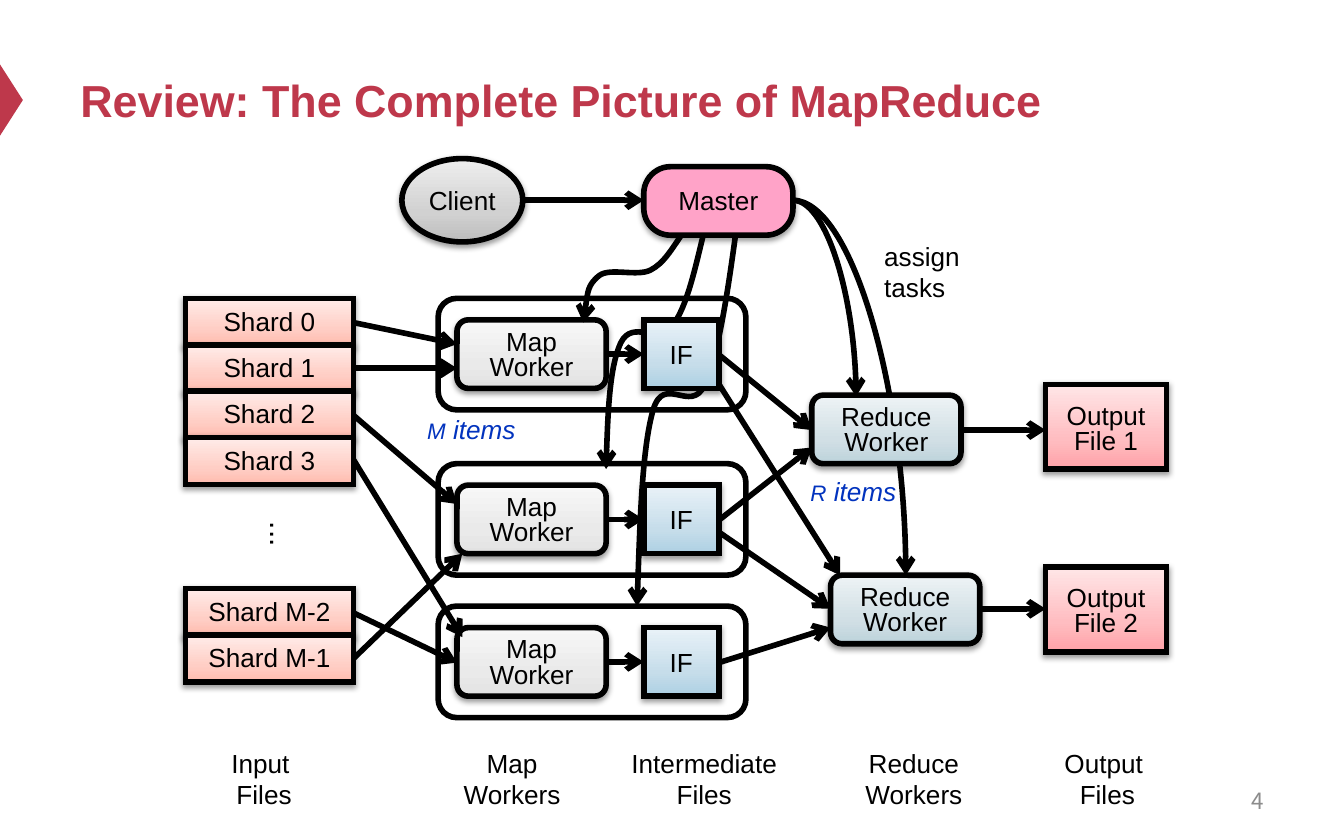
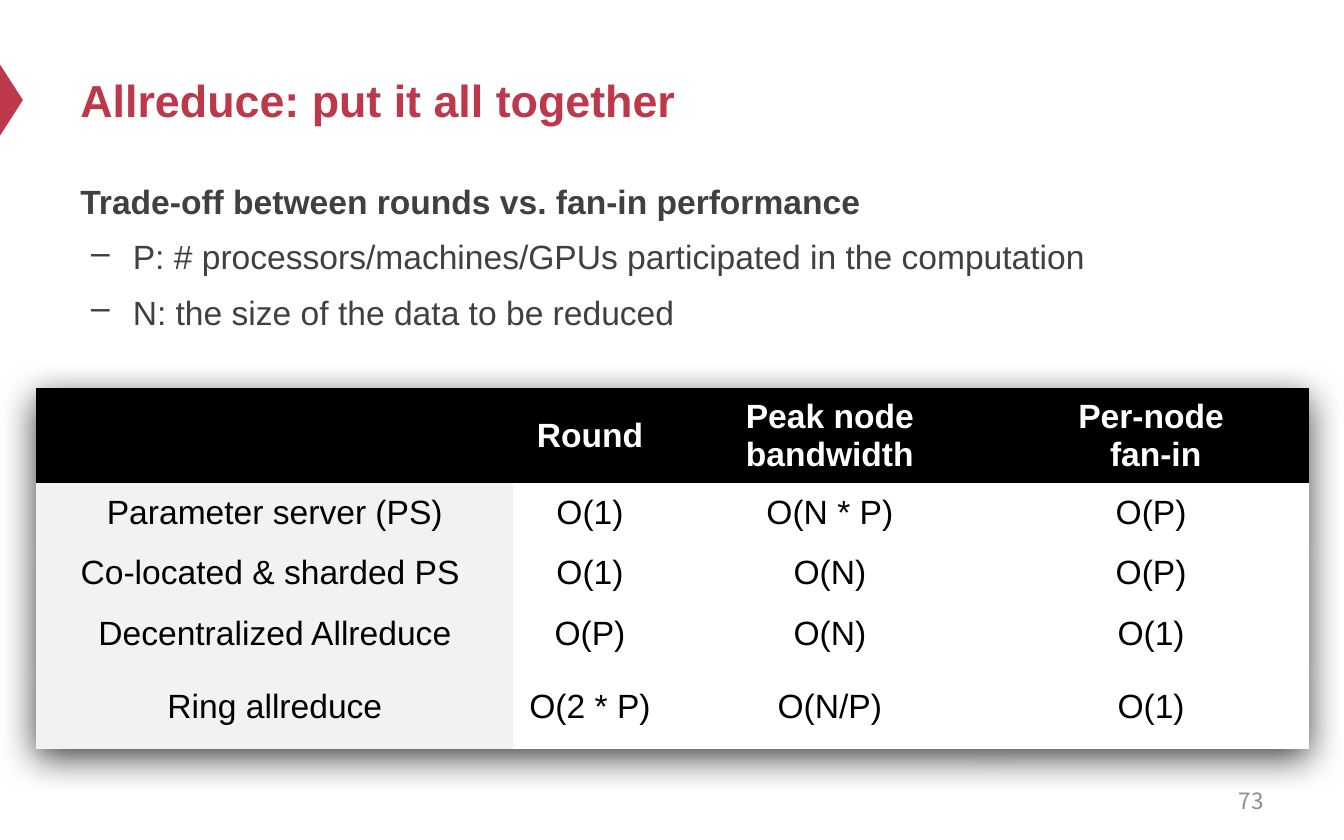
import copy

import pptx
import pptx.dml.color
import pptx.enum.shapes
import pptx.enum.text
import pptx.oxml
import pptx.oxml.ns
import pptx.util
from lxml import etree

Inches = pptx.util.Inches
Pt = pptx.util.Pt
qn = pptx.oxml.ns.qn
SHAPE = pptx.enum.shapes.MSO_SHAPE
CONNECTOR = pptx.enum.shapes.MSO_CONNECTOR
ALIGN = pptx.enum.text.PP_ALIGN
ANCHOR = pptx.enum.text.MSO_ANCHOR

COLORS = {
    "accent": "BE384B", "ink": "000000", "body": "404040", "number": "8C8C8C",
    "note": "0233BE", "white": "FFFFFF", "row head": "F2F2F2", "master": "FFA3C8",
}
# Gradients run from bottom to top.
GRADIENTS = {
    "shard": ("FFBBAE", "FFCEC5", "FFECE9"),
    "map": ("E2E2E2", "EAEAEA", "F7F7F7"),
    "file": ("ADD0E3", "C6DDEA", "E9F2F8"),
    "reduce": ("BDD3DB", "D1DFE5", "EDF3F5"),
    "output": ("FFA2A8", "FFBDC1", "FFE6E7"),
    "client": ("BDBDBD", "D1D1D1", "EEEEEE"),
}
STOPS = (0, 0.35, 1)
FONT = "Arial"
NUMBER_FONT = "Noto Sans CJK SC"
NO_TABLE_STYLE = "{2D5ABB26-0587-4C30-8999-92F81FD0307C}"

NODE_W, NODE_H = 1.11, 0.51
SHARD_LEFT, SHARD_W, SHARD_H = 1.38, 1.25, 0.35
MAP_LEFT, FILE_LEFT, FILE_W = 3.4, 4.79, 0.56
OUTPUT_LEFT, OUTPUT_W, OUTPUT_H = 7.78, 0.9, 0.63
MAP_TOPS = (2.38, 3.61, 4.67)


def rgb(name):
    return pptx.dml.color.RGBColor.from_string(COLORS.get(name, name))


def place(*lengths):
    return [Inches(length) for length in lengths]


def style_font(font, size, color="ink", bold=False, italic=False, name=FONT):
    font.name, font.size = name, Pt(size)
    font.bold, font.italic = bold, italic
    font.color.rgb = rgb(color)


def write(frame, text, size, color="ink", align=ALIGN.CENTER, spacing=None,
          bold=False, name=FONT):
    """Newlines start paragraphs; vertical tabs break lines."""
    frame.text = text
    for para in frame.paragraphs:
        para.alignment = align
        if spacing:
            para.line_spacing = spacing
        style_font(para.font, size, color, bold, name=name)


def set_insets(frame, insets):
    (frame.margin_left, frame.margin_top,
     frame.margin_right, frame.margin_bottom) = place(*insets)


def add_text(page, box, text, size=14, wrap=True, anchor=ANCHOR.TOP, **style):
    text_box = page.shapes.add_textbox(*place(*box))
    frame = text_box.text_frame
    frame.word_wrap = wrap
    frame.vertical_anchor = anchor
    write(frame, text, size, **style)
    return text_box


def add_note(page, box, letter, align):
    note = add_text(page, box, "", align=align)
    para = note.text_frame.paragraphs[0]
    for text, size in ((letter, 12), (" items", 14)):
        span = para.add_run()
        span.text = text
        style_font(span.font, size, "note", italic=True)


def add_shadow(effects, blur, distance, opacity):
    shadow = etree.SubElement(
        effects, qn("a:outerShdw"), blurRad=str(Pt(blur)), dist=str(Pt(distance)),
        dir="5400000", algn="ctr", rotWithShape="0")
    color = etree.SubElement(shadow, qn("a:srgbClr"), val=COLORS["ink"])
    etree.SubElement(color, qn("a:alpha"), val=str(opacity * 1000))


def stroke(shape, arrow=False):
    shape.line.color.rgb = rgb("ink")
    shape.line.width = Pt(3)
    line = shape.element.spPr.find(qn("a:ln"))
    etree.SubElement(line, qn("a:miter"), lim="800000")
    if arrow:
        etree.SubElement(line, qn("a:tailEnd"), type="arrow")


def fill_gradient(shape, colors):
    shape.fill.gradient()
    shape.fill.gradient_angle = 90
    stop_list = shape.element.spPr.find(".//" + qn("a:gsLst"))
    stop_list.insert(1, copy.deepcopy(stop_list[0]))
    for stop, position, color in zip(shape.fill.gradient_stops, STOPS, colors):
        stop.position = position
        stop.color.rgb = rgb(color)


def add_node(page, kind, box, text, fill, insets=(0.08, 0.03, 0.08, 0.04),
             spacing=None):
    node = page.shapes.add_shape(kind, *place(*box))
    if fill in GRADIENTS:
        fill_gradient(node, GRADIENTS[fill])
    else:
        node.fill.solid()
        node.fill.fore_color.rgb = rgb(fill)
    stroke(node)
    node.shadow.inherit = False
    add_shadow(node.element.spPr.find(qn("a:effectLst")), 3.1, 1.6, 38)
    frame = node.text_frame
    frame.word_wrap = False
    frame.vertical_anchor = ANCHOR.MIDDLE
    set_insets(frame, insets)
    write(frame, text, 14, spacing=spacing)
    return node


def add_worker(page, left, top, text, fill):
    add_node(page, SHAPE.ROUNDED_RECTANGLE, (left, top, NODE_W, NODE_H), text, fill,
             (0.08, 0.03, 0.08, 0), 0.8)


def add_arrow(page, start, end, bent=False):
    """A bent arrow leaves sideways and arrives from above."""
    kind = CONNECTOR.CURVE if bent else CONNECTOR.STRAIGHT
    arrow = page.shapes.add_connector(kind, *place(*start, *end))
    properties = arrow.element.spPr
    if bent:
        properties.find(qn("a:prstGeom")).set("prst", "curvedConnector2")
    stroke(arrow, arrow=True)
    etree.SubElement(properties, qn("a:effectLst"))


def add_curve(page, start, *controls):
    """Draw Bezier segments, each given by three points after the start."""
    builder = page.shapes.build_freeform(*place(*start))
    builder.add_line_segments([place(*point) for point in controls], close=False)
    curve = builder.convert_to_shape()
    outline = curve.element.spPr.find(".//" + qn("a:path"))
    lines = outline.findall(qn("a:lnTo"))
    for first in range(0, len(lines), 3):
        segment = etree.SubElement(outline, qn("a:cubicBezTo"))
        for line in lines[first:first + 3]:
            segment.append(line[0])
            outline.remove(line)
    curve.fill.background()
    stroke(curve, arrow=True)
    curve.shadow.inherit = False


def add_page(deck, title, number):
    page = deck.slides.add_slide(deck.slide_layouts[6])
    marker = page.shapes.add_shape(SHAPE.ISOSCELES_TRIANGLE,
                                   *place(-0.18, 0.66, 0.53, 0.17))
    marker.rotation = 90
    marker.fill.solid()
    marker.fill.fore_color.rgb = rgb("accent")
    marker.line.fill.background()
    marker.shadow.inherit = False
    add_text(page, (0.5, 0.25, 9, 0.98), title, 24, anchor=ANCHOR.MIDDLE,
             color="accent", align=ALIGN.LEFT, bold=True)
    add_text(page, (7.17, 5.79, 2.33, 0.33), number, 12, anchor=ANCHOR.MIDDLE,
             color="number", align=ALIGN.RIGHT, name=NUMBER_FONT)
    return page


def add_shards(page):
    for first_top, names in ((2.22, ("0", "1", "2", "3")), (4.38, ("M-2", "M-1"))):
        for index, name in enumerate(names):
            box = (SHARD_LEFT, first_top + 0.345 * index, SHARD_W, SHARD_H)
            add_node(page, SHAPE.RECTANGLE, box, f"Shard {name}", "shard",
                     (0.1, 0.03, 0.1, 0.05))


def add_map_row(page, top):
    middle = top + NODE_H / 2
    add_node(page, SHAPE.RECTANGLE, (FILE_LEFT, top, FILE_W, NODE_H), "IF", "file",
             (0.1, 0.05, 0.1, 0.05))
    add_arrow(page, (MAP_LEFT + NODE_W, middle), (FILE_LEFT, middle))
    add_worker(page, MAP_LEFT, top, "Map\vWorker", "map")
    border = page.shapes.add_shape(SHAPE.ROUNDED_RECTANGLE,
                                   *place(3.26, top - 0.16, 2.29, 0.83))
    border.fill.background()
    stroke(border)
    border.shadow.inherit = False


def build_mapreduce(deck):
    page = add_page(deck, "Review: The Complete Picture of MapReduce", "4")
    master_exit = (5.9, 1.49)
    add_arrow(page, master_exit, (6.74, 4.28), bent=True)
    add_curve(page, (5.47, 1.77), (5.41, 2.21), (5.34, 2.66), (5.24, 2.87),
              (5.14, 3.08), (4.94, 2.78), (4.86, 3.05),
              (4.78, 3.33), (4.76, 3.92), (4.74, 4.51))
    add_curve(page, (5.24, 1.72), (5.17, 2.01), (5.11, 2.29), (5, 2.43),
              (4.9, 2.57), (4.71, 2.37), (4.62, 2.55),
              (4.54, 2.72), (4.52, 3.11), (4.51, 3.49))
    add_shards(page)
    for top in MAP_TOPS:
        add_map_row(page, top)
    for left, top in ((6.04, 2.94), (6.18, 4.28)):
        add_worker(page, left, top, "Reduce\vWorker", "reduce")
    for number, top in enumerate((2.86, 4.22), 1):
        add_node(page, SHAPE.RECTANGLE, (OUTPUT_LEFT, top, OUTPUT_W, OUTPUT_H),
                 f"Output\nFile {number}", "output", (0.1, 0.05, 0.1, 0), 0.8)
    add_node(page, SHAPE.OVAL, (2.99, 1.18, 0.9, 0.62), "Client", "client")
    master = add_node(page, SHAPE.ROUNDED_RECTANGLE, (4.79, 1.24, NODE_W, NODE_H),
                      "Master", "master")
    master.adjustments[0] = 0.39

    add_arrow(page, master_exit, (6.37, 2.95), bent=True)
    add_curve(page, (5.07, 1.75), (5, 1.85), (4.94, 1.96), (4.84, 2.01),
              (4.74, 2.06), (4.54, 1.99), (4.46, 2.05),
              (4.37, 2.12), (4.36, 2.26), (4.34, 2.4))
    shard_right, file_right = SHARD_LEFT + SHARD_W, FILE_LEFT + FILE_W
    for exit_y, end in ((2.4, (3.4, 2.56)), (2.74, (3.4, 2.74)), (3.09, (3.4, 3.75)),
                        (4.9, (3.44, 4.12)), (4.56, (3.4, 4.93)),
                        (3.42, (3.44, 4.74))):
        add_arrow(page, (shard_right, exit_y), end)
    for exit_y, end in ((2.64, (6.04, 3.2)), (2.86, (6.25, 4.28)),
                        (3.87, (6.04, 3.33)), (3.96, (6.18, 4.53)),
                        (4.93, (6.18, 4.67))):
        add_arrow(page, (file_right, exit_y), end)
    add_arrow(page, (3.89, 1.49), (4.79, 1.49))
    for left, middle in ((7.15, 3.2), (7.29, 4.53)):
        add_arrow(page, (left, middle), (OUTPUT_LEFT, middle))

    for left, width, text, wrap in ((1.62, 0.69, "Input \vFiles", False),
                                    (3.19, 1.24, "Map Workers", True),
                                    (4.38, 1.72, "Intermediate Files", True),
                                    (6.18, 1.24, "Reduce Workers", True),
                                    (7.82, 0.84, "Output \vFiles", False)):
        add_text(page, (left, 5.51, width, 0.57), text, wrap=wrap)
    add_note(page, (3.08, 3.03, 1.24, 0.34), "M", ALIGN.LEFT)
    add_note(page, (5.78, 3.49, 1.14, 0.34), "R", ALIGN.CENTER)
    add_text(page, (6.48, 1.74, 0.82, 0.57), "assign \vtasks", wrap=False,
             align=ALIGN.LEFT)
    dots = add_text(page, (1.9, 3.79, 0.39, 0.37), "...", 16, wrap=False)
    dots.rotation = 90


def add_bullets(page, heading, items):
    body = add_text(page, (0.5, 1.24, 9, 1.4), heading, 18, color="body",
                    align=ALIGN.LEFT, spacing=1.2, bold=True)
    for item in items:
        para = body.text_frame.add_paragraph()
        para.text = item
        para.level = 1
        para.line_spacing = 1.2
        para.space_before = Pt(3.6)
        properties = para._p.get_or_add_pPr()
        properties.set("marL", str(Inches(0.39)))
        properties.set("indent", str(Inches(-0.31)))
        etree.SubElement(properties, qn("a:buChar"), char="–")
        style_font(para.font, 18, "body")


def add_cost_table(page, rows, widths, heights):
    holder = page.shapes.add_table(len(rows), len(widths),
                                   *place(0.27, 2.89, sum(widths), sum(heights)))
    table = holder.table
    table.first_row = table.horz_banding = False
    properties = table._tbl.tblPr
    properties.find(qn("a:tableStyleId")).text = NO_TABLE_STYLE
    effects = etree.Element(qn("a:effectLst"))
    properties.insert(0, effects)
    add_shadow(effects, 20, 5, 75)
    for column, width in zip(table.columns, widths):
        column.width = Inches(width)
    for row, height in zip(table.rows, heights):
        row.height = Inches(height)
    for row_index, row in enumerate(rows):
        header = row_index == 0
        for column_index, text in enumerate(row):
            cell = table.cell(row_index, column_index)
            cell.vertical_anchor = ANCHOR.MIDDLE
            if not header:
                set_insets(cell, (0, 0, 0, 0))
            fill = "ink" if header else "white" if column_index else "row head"
            cell.fill.solid()
            cell.fill.fore_color.rgb = rgb(fill)
            write(cell.text_frame, text, 18, "white" if header else "ink", bold=header)


def build_allreduce(deck):
    page = add_page(deck, "Allreduce: put it all together", "73")
    add_bullets(page, "Trade-off between rounds vs. fan-in performance", (
        "P: # processors/machines/GPUs participated in the computation",
        "N: the size of the data to be reduced"))
    add_cost_table(page, (
        ("", "Round", "Peak node bandwidth", "Per-node\n fan-in"),
        ("Parameter server (PS)", "O(1)", "O(N * P)", "O(P)"),
        ("Co-located & sharded PS ", "O(1)", "O(N)", "O(P)"),
        ("Decentralized Allreduce", "O(P)", "O(N)", "O(1)"),
        ("Ring allreduce", "O(2 * P)", "O(N/P)", "O(1)"),
    ), (3.55, 1.14, 2.43, 2.35), (0.42, 0.45, 0.45, 0.45, 0.63))


def main():
    deck = pptx.Presentation()
    deck.slide_width, deck.slide_height = Inches(10), Inches(6.25)
    build_mapreduce(deck)
    build_allreduce(deck)
    deck.save("out.pptx")


if __name__ == "__main__":
    main()
